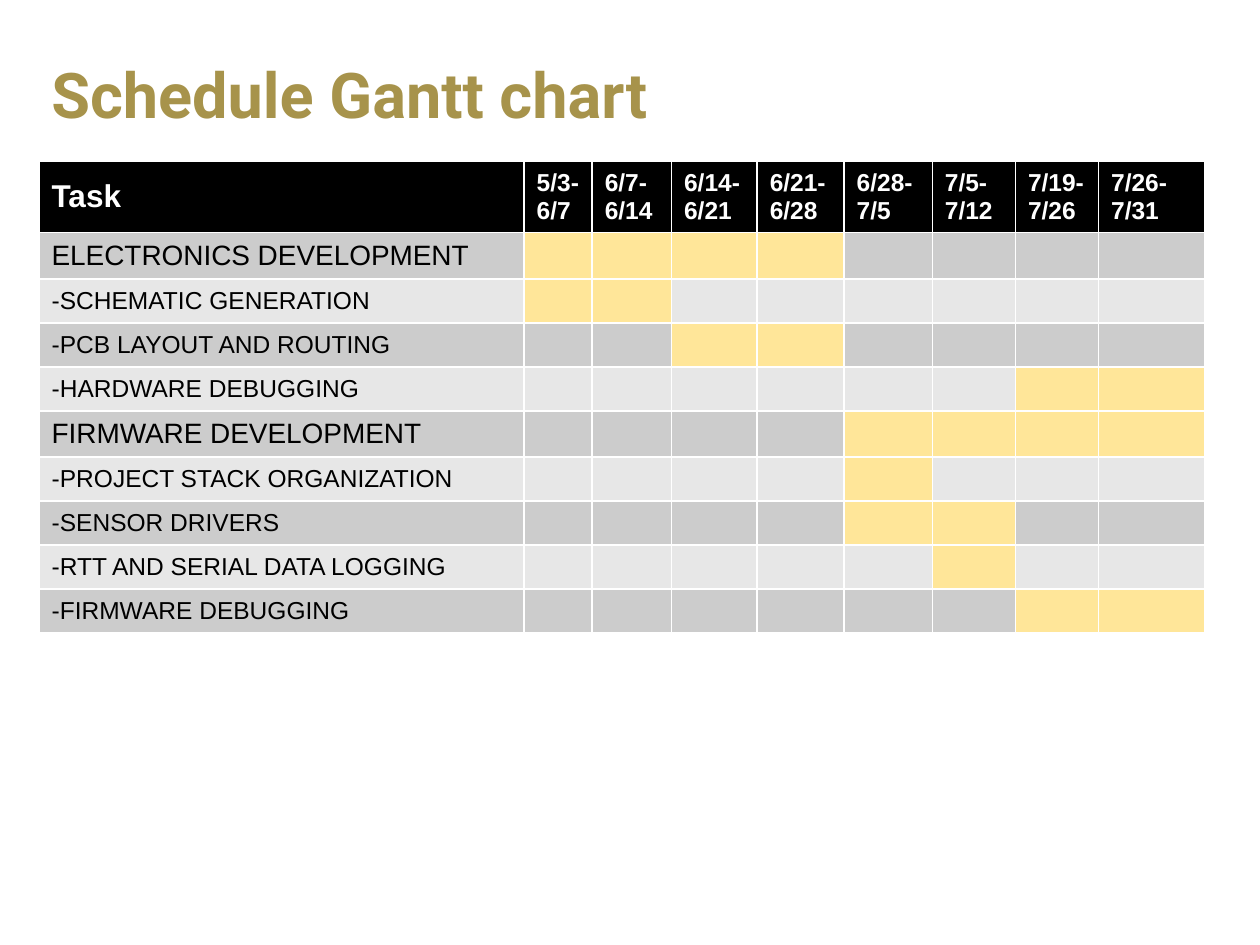
from lxml import etree
from pptx import Presentation
from pptx.dml.color import RGBColor
from pptx.enum.text import MSO_ANCHOR
from pptx.oxml.ns import qn
from pptx.util import Inches, Pt

MIDDLE = MSO_ANCHOR.MIDDLE
GOLD = RGBColor(0xA7, 0x93, 0x4B)
BLACK = RGBColor(0x00, 0x00, 0x00)
WHITE = RGBColor(0xFF, 0xFF, 0xFF)
DARK = RGBColor(0xCC, 0xCC, 0xCC)
LIGHT = RGBColor(0xE7, 0xE7, 0xE7)
YELLOW = RGBColor(0xFF, 0xE6, 0x99)

WEEKS = ["5/3-6/7", "6/7-6/14", "6/14-6/21", "6/21-6/28",
         "6/28-7/5", "7/5-7/12", "7/19-7/26", "7/26-7/31"]
WIDTHS = [3.85, 0.54, 0.63, 0.68, 0.69, 0.7, 0.66, 0.66, 0.84]
TASKS = [
    ("ELECTRONICS DEVELOPMENT", 1, 4),
    ("-SCHEMATIC GENERATION", 1, 2),
    ("-PCB LAYOUT AND ROUTING", 3, 4),
    ("-HARDWARE DEBUGGING", 7, 8),
    ("FIRMWARE DEVELOPMENT", 5, 8),
    ("-PROJECT STACK ORGANIZATION", 5, 5),
    ("-SENSOR DRIVERS", 5, 6),
    ("-RTT AND SERIAL DATA LOGGING", 6, 6),
    ("-FIRMWARE DEBUGGING", 7, 8),
]


def style(para, face, size, color, bold):
    font = para.font
    font.name = face
    font.size = Pt(size)
    font.color.rgb = color
    font.bold = bold


def fill_cell(cell, fill, text="", size=14, color=BLACK, bold=False):
    cell.fill.solid()
    cell.fill.fore_color.rgb = fill
    cell.vertical_anchor = MIDDLE
    para = cell.text_frame.paragraphs[0]
    if text:
        para.text = text
    else:
        etree.SubElement(para._p, qn("a:endParaRPr"), sz=str(size * 100))
    style(para, "Arial", size, color, bold)


def add_title(slide, left, top, width, height):
    box = slide.shapes.add_textbox(left, top, width, height)
    frame = box.text_frame
    frame.word_wrap = True
    frame.vertical_anchor = MIDDLE
    para = frame.paragraphs[0]
    para.text = "Schedule Gantt chart"
    para.line_spacing = 0.9
    style(para, "Roboto", 36, GOLD, True)


def add_gantt(slide, left, top, width, height):
    table = slide.shapes.add_table(
        len(TASKS) + 1, len(WIDTHS), left, top, width, height).table
    for column, size in zip(table.columns, WIDTHS):
        column.width = Inches(size)
    head = Inches(0.52)
    table.rows[0].height = head
    for row in list(table.rows)[1:]:
        row.height = (height - head) // len(TASKS)

    for col, text in enumerate(["Task"] + WEEKS):
        fill_cell(table.cell(0, col), BLACK, text, 14 if col else 18, WHITE, True)
    for row, (task, start, end) in enumerate(TASKS, 1):
        band = DARK if row % 2 else LIGHT
        fill_cell(table.cell(row, 0), band, task, 14 if task.startswith("-") else 16)
        for col in range(1, len(WIDTHS)):
            fill_cell(table.cell(row, col), YELLOW if start <= col <= end else band)


def main():
    deck = Presentation()
    deck.slide_width = Inches(10)
    deck.slide_height = Inches(7.5)
    slide = deck.slides.add_slide(deck.slide_layouts[6])
    add_title(slide, Inches(0.31), Inches(0.22), Inches(9.38), Inches(1.11))
    add_gantt(slide, Inches(0.31), Inches(1.28), Inches(9.25), Inches(3.66))
    deck.save("out.pptx")


if __name__ == "__main__":
    main()
